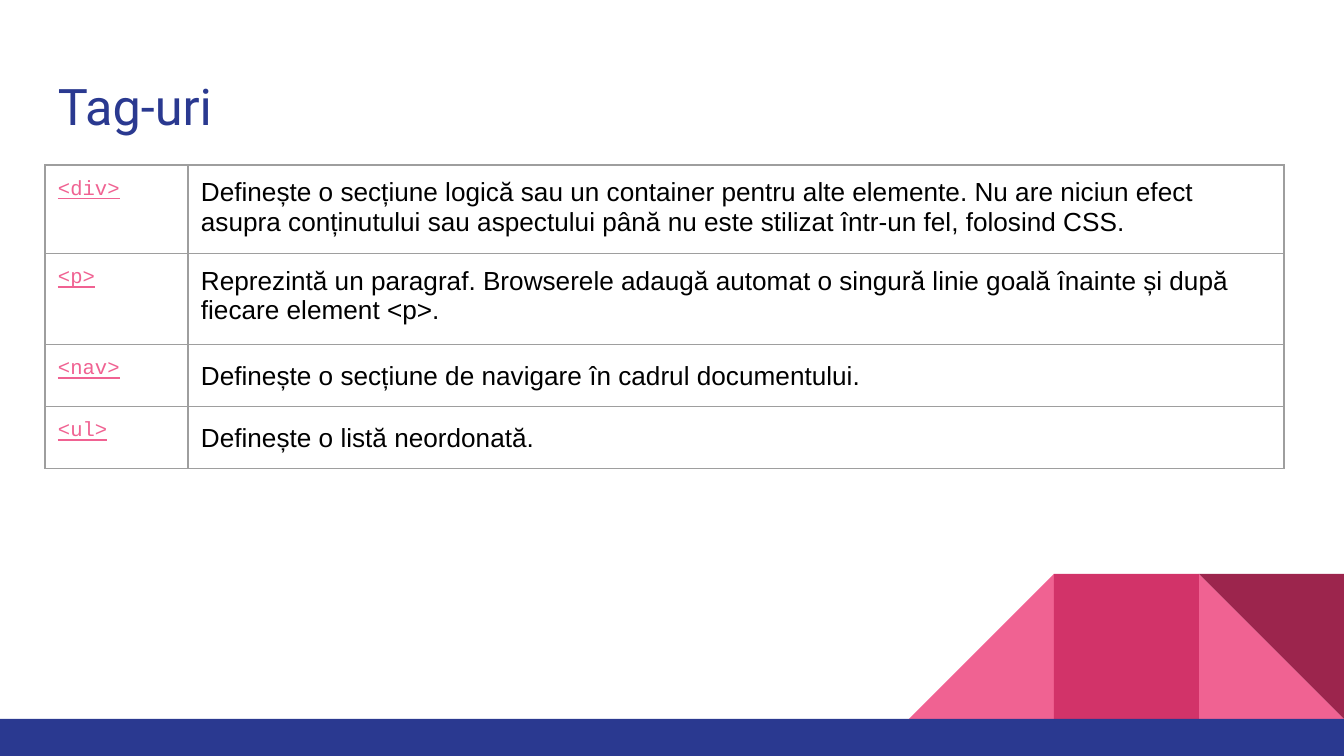
from lxml.etree import SubElement
from pptx import Presentation
from pptx.dml.color import RGBColor
from pptx.enum.shapes import MSO_SHAPE
from pptx.enum.text import MSO_ANCHOR
from pptx.oxml import parse_xml
from pptx.oxml.ns import nsdecls, qn
from pptx.util import Pt

PX = 914400 / 134.4
INSET = 13
COLORS = {"blue": "2A3990", "pink": "F06292", "rose": "D23369",
          "wine": "9C254D", "black": "000000", "border": "9E9E9E"}

# Tag, description, row height, line spacing
ROWS = [
    ("<div>", "Definește o secțiune logică sau un container pentru alte elemente. "
     "Nu are niciun efect asupra conținutului sau aspectului până nu este "
     "stilizat într-un fel, folosind CSS.", 86, 1),
    ("<p>", "Reprezintă un paragraf. Browserele adaugă automat o singură linie "
     "goală înainte și după fiecare element <p>.", 91, 1),
    ("<nav>", "Definește o secțiune de navigare în cadrul documentului.", 61, 1.15),
    ("<ul>", "Definește o listă neordonată.", 60, 1.15),
]
COL_WIDTHS = [143, 1096]


def px(n):
    return round(n * PX)


def set_insets(box):
    box.margin_left = box.margin_right = px(INSET)
    box.margin_top = box.margin_bottom = px(INSET)


def write(tf, text, font, size, color, underline=False, spacing=1):
    tf.text = text
    p = tf.paragraphs[0]
    p.line_spacing = spacing
    f = p.runs[0].font
    f.name, f.size, f.underline = font, Pt(size), underline
    f.color.rgb = RGBColor.from_string(COLORS[color])


def add_block(s, kind, x, y, w, h, color, rotation=0):
    sp = s.shapes.add_shape(kind, px(x), px(y), px(w), px(h))
    sp.shadow.inherit = False
    sp.rotation = rotation
    sp.fill.solid()
    sp.fill.fore_color.rgb = RGBColor.from_string(COLORS[color])
    sp.line.fill.background()


def add_decoration(s):
    side, top, right = 145, 574, 1344
    triangle = MSO_SHAPE.RIGHT_TRIANGLE
    # Kind, squares from the right edge, colour, rotation
    for kind, n, color, rotation in [
        (triangle, 1, "pink", 0),
        (triangle, 3, "pink", 270),
        (MSO_SHAPE.RECTANGLE, 2, "rose", 0),
        (triangle, 1, "wine", 180),
    ]:
        add_block(s, kind, right - n * side, top, side, side, color, rotation)
    add_block(s, MSO_SHAPE.RECTANGLE, 0, top + side, right, 37, "blue")


def add_title(s, text):
    tf = s.shapes.add_textbox(px(45), px(60), px(1253), px(89)).text_frame
    tf.word_wrap = True
    tf.vertical_anchor = MSO_ANCHOR.BOTTOM
    set_insets(tf)
    write(tf, text, "Roboto", 27, "blue")


def add_borders(cell):
    tc_pr = cell._tc.get_or_add_tcPr()
    for i, side in enumerate("LRTB"):
        ln = parse_xml(f'<a:ln{side} {nsdecls("a")} w="{Pt(0.75)}"/>')
        fill = SubElement(ln, qn("a:solidFill"))
        SubElement(fill, qn("a:srgbClr"), val=COLORS["border"])
        tc_pr.insert(i, ln)


def add_tag_table(s):
    heights = [row[2] for row in ROWS]
    table = s.shapes.add_table(len(ROWS), 2, px(45), px(165),
                               px(sum(COL_WIDTHS)), px(sum(heights))).table
    table.first_row = table.horz_banding = False
    for col, width in zip(table.columns, COL_WIDTHS):
        col.width = px(width)
    for row, (tag, description, height, spacing) in zip(table.rows, ROWS):
        row.height = px(height)
        for cell in row.cells:
            set_insets(cell)
            cell.fill.background()
            add_borders(cell)
        write(row.cells[0].text_frame, tag, "Courier New", 11, "pink", True)
        write(row.cells[1].text_frame, description, "Arial", 14, "black",
              spacing=spacing)


def main():
    prs = Presentation()
    prs.slide_width, prs.slide_height = px(1344), px(756)
    s = prs.slides.add_slide(prs.slide_layouts[6])
    add_decoration(s)
    add_title(s, "Tag-uri")
    add_tag_table(s)
    prs.save("out.pptx")


if __name__ == "__main__":
    main()
